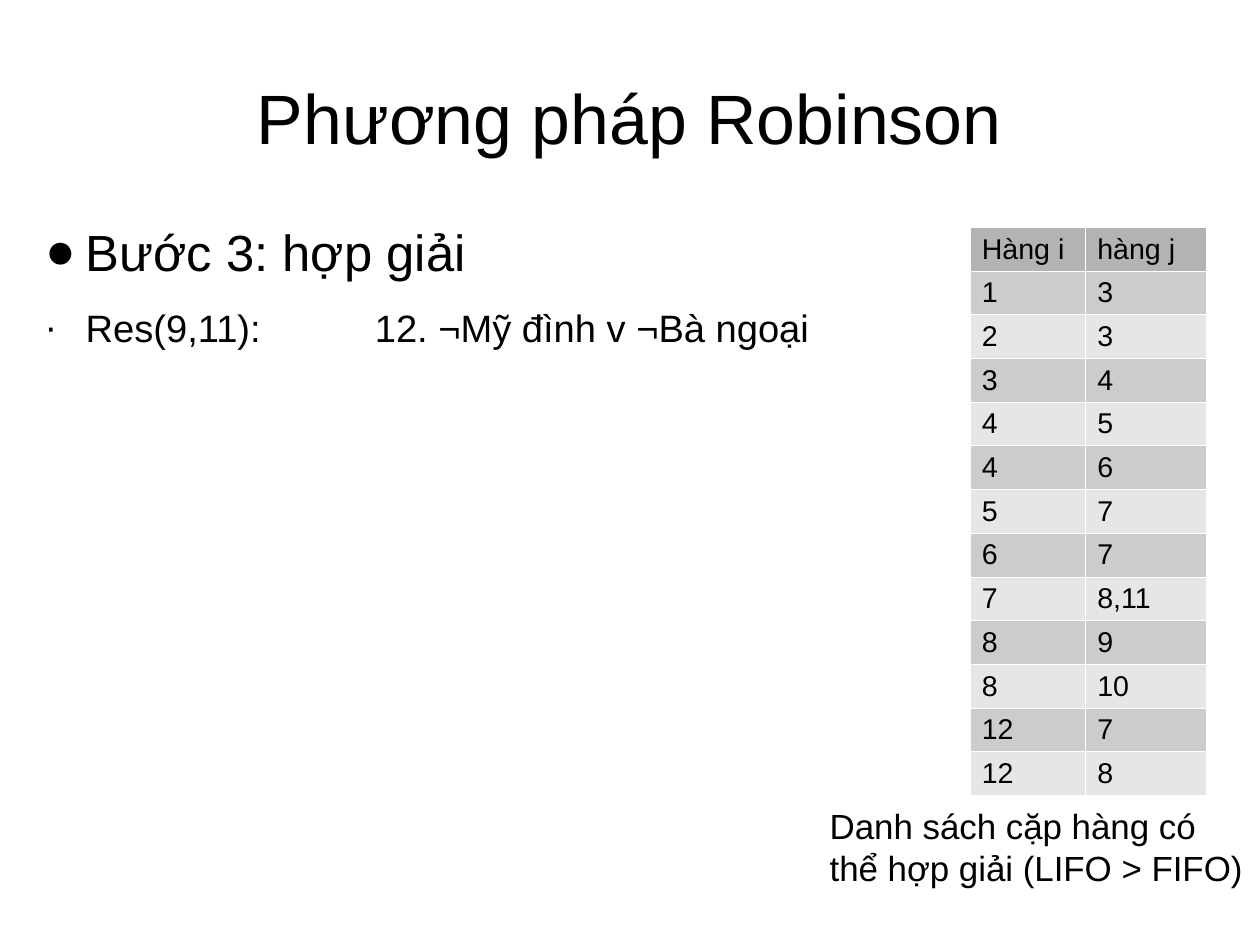
from lxml import etree
from pptx import Presentation
from pptx.dml.color import RGBColor
from pptx.enum import text
from pptx.oxml import ns
from pptx.util import Cm, Inches, Pt

# Content
TITLE = "Phương pháp Robinson"
# text, size, bullet, space before
STEPS = [
    ("Bước 3: hợp giải", 32, "●", 0),
    ("Res(9,11): \t12. ¬Mỹ đình v ¬Bà ngoại", 24, "∙", 14.2),
]
HEADER = ("Hàng i", "hàng j")
PAIRS = [
    ("1", "3"), ("2", "3"), ("3", "4"), ("4", "5"), ("4", "6"), ("5", "7"),
    ("6", "7"), ("7", "8,11"), ("8", "9"), ("8", "10"), ("12", "7"), ("12", "8"),
]
CAPTION = "Danh sách cặp hàng có thể hợp giải (LIFO > FIFO)"

FONT = "Arial"
BLACK = RGBColor(0x00, 0x00, 0x00)
HEADER_GREY = RGBColor(0xB3, 0xB3, 0xB3)
DARK_BAND = RGBColor(0xCC, 0xCC, 0xCC)
LIGHT_BAND = RGBColor(0xE6, 0xE6, 0xE6)
BORDER = RGBColor(0xFF, 0xFF, 0xFF)

COLUMN_WIDTHS = (1.01, 1.06)
TABLE_HEIGHT = 4.97
HANGING = Inches(0.35)
INDENT = Inches(0.47)
RESULT_TAB = Inches(3)


def write(paragraph, words, size):
    run = paragraph.add_run()
    run.text = words
    run.font.name = FONT
    run.font.size = Pt(size)
    run.font.bold = False
    run.font.color.rgb = BLACK


def clear_margins(frame):
    frame.margin_left = frame.margin_right = 0
    frame.margin_top = frame.margin_bottom = 0


def add_child(parent, tag, **attributes):
    child = etree.SubElement(parent, ns.qn(tag))
    for name, value in attributes.items():
        child.set(name, str(value))
    return child


def add_bullet(paragraph, mark):
    properties = paragraph._p.get_or_add_pPr()
    properties.set("marL", str(INDENT))
    properties.set("indent", str(-HANGING))
    color = add_child(properties, "a:buClr")
    add_child(color, "a:srgbClr", val=BLACK)
    add_child(properties, "a:buFont", typeface=FONT)
    add_child(properties, "a:buChar", char=mark)
    tabs = add_child(properties, "a:tabLst")
    add_child(tabs, "a:tab", pos=RESULT_TAB, algn="l")


def paint_cell(cell, fill):
    properties = cell._tc.get_or_add_tcPr()
    for side in ("a:lnL", "a:lnR", "a:lnT", "a:lnB"):
        line = add_child(properties, side, w=Pt(0.75))
        solid = add_child(line, "a:solidFill")
        add_child(solid, "a:srgbClr", val=BORDER)
    cell.fill.solid()
    cell.fill.fore_color.rgb = fill


def main():
    deck = Presentation()
    deck.slide_width, deck.slide_height = Cm(28), Cm(21)
    slide = deck.slides.add_slide(deck.slide_layouts[5])

    # Title
    title = slide.shapes.title
    title.left, title.top = Inches(0.55), Inches(0.33)
    title.width, title.height = Inches(9.92), Inches(1.38)
    heading = title.text_frame
    clear_margins(heading)
    heading.vertical_anchor = text.MSO_ANCHOR.MIDDLE
    heading.paragraphs[0].alignment = text.PP_ALIGN.CENTER
    write(heading.paragraphs[0], TITLE, 44)

    # Resolution step
    steps = slide.shapes.add_textbox(
        Inches(0.28), Inches(1.93), Inches(9.92), Inches(4.79)).text_frame
    steps.word_wrap = True
    clear_margins(steps)
    for index, (words, size, mark, before) in enumerate(STEPS):
        step = steps.add_paragraph() if index else steps.paragraphs[0]
        step.space_before = Pt(before)
        add_bullet(step, mark)
        write(step, words, size)

    # Table of row pairs
    rows = [HEADER] + PAIRS
    pairs = slide.shapes.add_table(
        len(rows), len(HEADER), Inches(8.49), Inches(1.99),
        Inches(sum(COLUMN_WIDTHS)), Inches(TABLE_HEIGHT)).table
    for column, width in zip(pairs.columns, COLUMN_WIDTHS):
        column.width = Inches(width)
    for r, row in enumerate(rows):
        pairs.rows[r].height = Inches(TABLE_HEIGHT / len(rows))
        band = DARK_BAND if r % 2 else LIGHT_BAND
        for c, words in enumerate(row):
            cell = pairs.cell(r, c)
            cell.margin_top, cell.margin_bottom = Inches(0.05), Inches(0.03)
            paint_cell(cell, band if r else HEADER_GREY)
            write(cell.text_frame.paragraphs[0], words, 18)

    # Table caption
    caption = slide.shapes.add_textbox(
        Inches(7.16), Inches(6.99), Inches(3.85), Inches(1.12)).text_frame
    caption.word_wrap = True
    write(caption.paragraphs[0], CAPTION, 22)

    deck.save("out.pptx")


if __name__ == "__main__":
    main()
